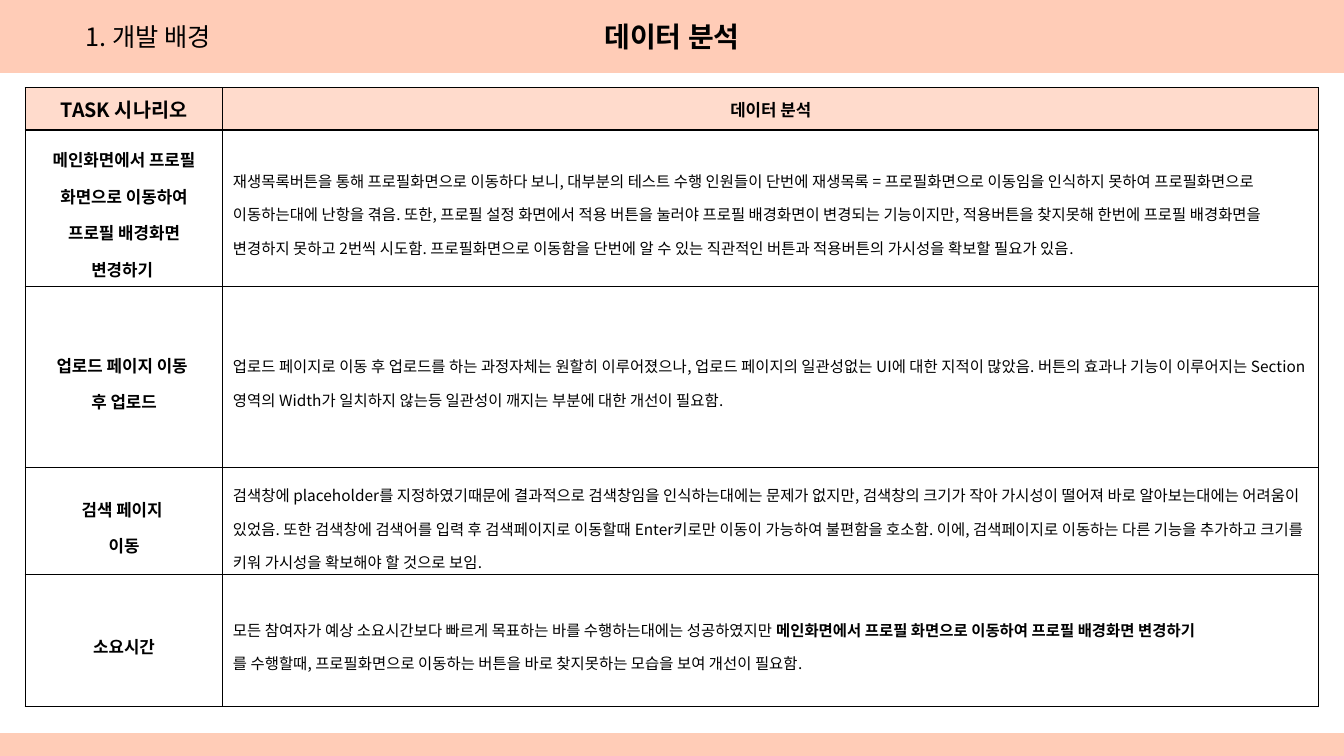
from lxml.etree import SubElement
from pptx import Presentation
from pptx.dml.color import RGBColor
from pptx.enum.shapes import MSO_SHAPE
from pptx.enum.text import MSO_ANCHOR, MSO_AUTO_SIZE, PP_ALIGN
from pptx.oxml import parse_xml
from pptx.oxml.ns import nsdecls, qn
from pptx.util import Inches, Pt

FONT = "Noto Sans CJK KR"
HUES = {"band": "FFCCB7", "head": "FFBB9F", "cell": "FFFFFF", "ink": "000000"}


def write(frame, text, size=12, bold=False, center=False, gap=None):
    """Put text in a frame: a line break starts a paragraph, * toggles bold."""
    for i, line in enumerate(text.split("\n")):
        para = frame.add_paragraph() if i else frame.paragraphs[0]
        para.alignment = PP_ALIGN.CENTER if center else PP_ALIGN.LEFT
        if gap:
            para.line_spacing = gap
        for j, part in enumerate(line.split("*")):
            if not part:
                continue
            run = para.add_run()
            run.text = part
            font = run.font
            font.size, font.name = Pt(size), FONT
            font.bold = bold != (j % 2 == 1)
            font.color.rgb = RGBColor.from_string(HUES["ink"])
            SubElement(font._element, qn("a:ea")).set("typeface", FONT)


class Page:
    """Style and current slide; lengths are percent of the slide's size."""

    def __init__(self, deck):
        self.deck = deck
        self.slide = deck.slides.add_slide(deck.slide_layouts[6])
        self.shapes = self.slide.shapes

    def wide(self, share):
        return round(self.deck.slide_width * share / 100)

    def high(self, share):
        return round(self.deck.slide_height * share / 100)

    def area(self, x, y, w, h):
        return self.wide(x), self.high(y), self.wide(w), self.high(h)

    def band(self, y, h, text="", **form):
        bar = self.shapes.add_shape(MSO_SHAPE.RECTANGLE, *self.area(0, y, 100, h))
        bar.shadow.inherit = False
        hue = RGBColor.from_string(HUES["band"])
        bar.fill.solid()
        bar.fill.fore_color.rgb = hue
        bar.line.color.rgb = hue
        bar.line.width = Pt(1)
        bar.text_frame.vertical_anchor = MSO_ANCHOR.MIDDLE
        write(bar.text_frame, text, **form)

    def label(self, x, y, w, h, text, **form):
        frame = self.shapes.add_textbox(*self.area(x, y, w, h)).text_frame
        frame.word_wrap = False
        frame.auto_size = MSO_AUTO_SIZE.SHAPE_TO_FIT_TEXT
        write(frame, text, **form)

    def paint(self, cell, hue):
        cell.fill.solid()
        cell.fill.fore_color.rgb = RGBColor.from_string(HUES[hue])
        props = cell._tc.get_or_add_tcPr()
        tint = props.find(qn("a:solidFill"))[0]
        SubElement(tint, qn("a:alpha")).set("val", "53000")
        for i, side in enumerate("LRTB"):
            props.insert(i, parse_xml(
                f'<a:ln{side} {nsdecls("a")} w="12700"><a:solidFill>'
                f'<a:srgbClr val="{HUES["ink"]}"/></a:solidFill></a:ln{side}>'))

    def table(self, x, y, cols, rows, cells, forms):
        area = self.area(x, y, sum(cols), sum(rows))
        grid = self.shapes.add_table(len(rows), len(cols), *area).table
        grid.first_row = grid.horz_banding = False
        for col, share in zip(grid.columns, cols):
            col.width = self.wide(share)
        for row, share in zip(grid.rows, rows):
            row.height = self.high(share)
        for r, line in enumerate(cells):
            for c, text in enumerate(line):
                cell = grid.cell(r, c)
                cell.vertical_anchor = MSO_ANCHOR.MIDDLE
                self.paint(cell, "cell" if r else "head")
                write(cell.text_frame, text, **forms[r > 0][c])


HEAD = [dict(size=14, bold=True, center=True), dict(bold=True, center=True)]
BODY = [dict(bold=True, center=True, gap=1.5), dict(size=11, gap=1.5)]

TASKS = [
    ("TASK 시나리오", "데이터 분석"),
    ("메인화면에서 프로필 화면으로 이동하여 프로필 배경화면 변경하기 ",
     "재생목록버튼을 통해 프로필화면으로 이동하다 보니, 대부분의 테스트 수행 인원들이 단번에 "
     "재생목록 = 프로필화면으로 이동임을 인식하지 못하여 프로필화면으로 이동하는대에 난항을 겪음. "
     "또한, 프로필 설정 화면에서 적용 버튼을 눌러야 프로필 배경화면이 변경되는 기능이지만, "
     "적용버튼을 찾지못해 한번에 프로필 배경화면을 변경하지 못하고 2번씩 시도함. "
     "프로필화면으로 이동함을 단번에 알 수 있는 직관적인 버튼과 적용버튼의 가시성을 확보할 필요가 있음."),
    ("업로드 페이지 이동 \n후 업로드",
     "업로드 페이지로 이동 후 업로드를 하는 과정자체는 원할히 이루어졌으나, "
     "업로드 페이지의 일관성없는 UI에 대한 지적이 많았음. 버튼의 효과나 기능이 이루어지는 "
     "Section 영역의 Width가 일치하지 않는등 일관성이 깨지는 부분에 대한 개선이 필요함."),
    ("검색 페이지 \n이동",
     "검색창에 placeholder를 지정하였기때문에 결과적으로 검색창임을 인식하는대에는 문제가 없지만, "
     "검색창의 크기가 작아 가시성이 떨어져 바로 알아보는대에는 어려움이 있었음. "
     "또한 검색창에 검색어를 입력 후 검색페이지로 이동할때 Enter키로만 이동이 가능하여 불편함을 호소함. "
     "이에, 검색페이지로 이동하는 다른 기능을 추가하고 크기를 키워 가시성을 확보해야 할 것으로 보임."),
    ("소요시간",
     "모든 참여자가 예상 소요시간보다 빠르게 목표하는 바를 수행하는대에는 성공하였지만 "
     "*메인화면에서 프로필 화면으로 이동하여 프로필 배경화면 변경하기*\n"
     "를 수행할때, 프로필화면으로 이동하는 버튼을 바로 찾지못하는 모습을 보여 개선이 필요함."),
]


def main():
    deck = Presentation()
    deck.slide_width, deck.slide_height = Inches(13.33), Inches(7.5)
    page = Page(deck)

    # Title and foot bands
    page.band(0, 9.6, "데이터 분석", size=20, bold=True, center=True)
    page.band(97.07, 2.93)
    page.label(5.63, 2.13, 11.93, 5.33, "1. 개발 배경", size=18)

    # Findings for each task
    page.table(1.88, 11.6, [14.7, 81.55], [5.6, 20.67, 24, 14.13, 17.47],
               TASKS, [HEAD, BODY])

    deck.save("out.pptx")


if __name__ == "__main__":
    main()
